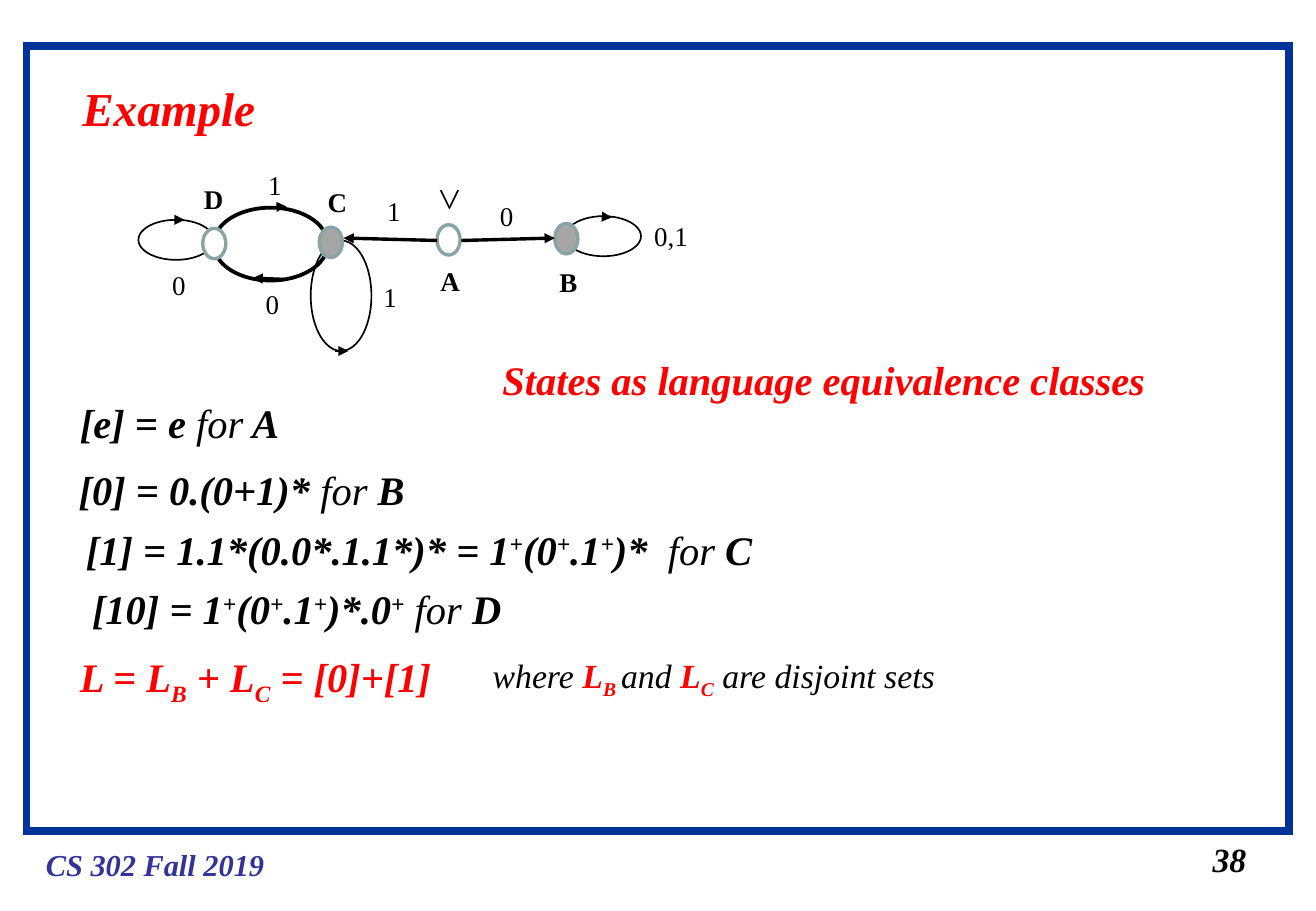
"""Build the slide on the states of an automaton as language equivalence classes."""
from lxml import etree
from pptx import Presentation
from pptx.dml.color import RGBColor
from pptx.enum.shapes import MSO_CONNECTOR, MSO_SHAPE
from pptx.enum.text import MSO_AUTO_SIZE
from pptx.oxml.ns import qn
from pptx.util import Pt

RECTANGLE, ELLIPSE = MSO_SHAPE.RECTANGLE, MSO_SHAPE.OVAL
STRAIGHT = MSO_CONNECTOR.STRAIGHT
GROW = MSO_AUTO_SIZE.SHAPE_TO_FIT_TEXT
PX = 9144

THEME = {
    "font": "Times New Roman",
    "ink": "000000", "accent": "FF0000", "frame": "003399", "footer": "333399",
    "open": "FFFFFF", "accepting": "A6A6A6", "state line": "89A4A7",
    "title": 28, "body": 24, "note": 20, "course": 18, "label": 16,
}
BOLD = {"bold": True, "italic": True}
ITALIC = {"bold": False, "italic": True}
LABEL_BOLD = {"bold": True, "italic": False}
LABEL = {"bold": False, "italic": False}
SUPER, SUB = 30000, -25000


def add_outline(shapes, kind, box, fill, line, width):
    shape = shapes.add_shape(kind, *[value * PX for value in box])
    shape.shadow.inherit = False
    if fill:
        shape.fill.solid()
        shape.fill.fore_color.rgb = RGBColor.from_string(THEME[fill])
    else:
        shape.fill.background()
    shape.line.color.rgb = RGBColor.from_string(THEME[line])
    shape.line.width = Pt(width)
    etree.SubElement(shape.line._get_or_add_ln(), qn("a:miter"), lim="800000")


def add_text(shapes, box, size, color, runs, wrap=False, rotation=0):
    shape = shapes.add_textbox(*[value * PX for value in box])
    shape.rotation = rotation
    frame = shape.text_frame
    frame.word_wrap = wrap
    frame.auto_size = GROW
    paragraph = frame.paragraphs[0]
    for text, style, *extra in runs:
        run = paragraph.add_run()
        run.text = text
        formats = {"name": THEME["font"], "size": Pt(THEME[size]), **style}
        for name, value in formats.items():
            setattr(run.font, name, value)
        run_color = next((item for item in extra if item in THEME), color)
        run.font.color.rgb = RGBColor.from_string(THEME[run_color])
        for baseline in (SUPER, SUB):
            if baseline in extra:
                run._r.get_or_add_rPr().set("baseline", str(baseline))


presentation = Presentation()
presentation.slide_width = 1084 * PX
presentation.slide_height = 750 * PX
slide = presentation.slides.add_slide(presentation.slide_layouts[6])
shapes = slide.shapes

add_outline(shapes, RECTANGLE, (22, 38, 1040, 646), None, "frame", 4.5)

for box, size, color, text in [
    ((28, 692, 200, 40), "course", "footer", "CS 302 Fall 2019"),
    ((58, 60, 240, 57), "title", "accent", "Example"),
    ((989, 686, 48, 44), "note", "ink", "38"),
    ((404, 287, 558, 50), "body", "accent", "States as language equivalence classes"),
]:
    add_text(shapes, box, size, color, [(text, BOLD)], wrap=True)

automaton = shapes.add_group_shape().shapes

for box, width in [
    ((466, 178, 62, 33), 1),
    ((256, 198, 50, 91), 1),
    ((114, 181, 62, 33), 1),
    ((176, 171, 94, 60), 2.25),
]:
    add_outline(automaton, ELLIPSE, box, None, "ink", width)

for left, top, fill in [
    (167, 188, "open"),
    (263, 187, "accepting"),
    (360, 185, "open"),
    (457, 184, "accepting"),
]:
    add_outline(automaton, ELLIPSE, (left, top, 19, 25), fill, "state line", 2)

for ends, width in [
    ((491, 178, 504, 179), 0.25),
    ((276, 289, 287, 289), 0.25),
    ((139, 181, 152, 181), 0.25),
    ((210, 171, 236, 170), 0.25),
    ((234, 230, 208, 229), 2),
    ((380, 198, 457, 196), 2),
    ((360, 198, 283, 196), 2),
]:
    arrow = automaton.add_connector(STRAIGHT, *[value * PX for value in ends])
    arrow.line.color.rgb = RGBColor.from_string(THEME["ink"])
    arrow.line.width = Pt(width)
    etree.SubElement(arrow.line._get_or_add_ln(), qn("a:tailEnd"), type="triangle")
    etree.SubElement(arrow._element.spPr, qn("a:effectLst"))

for left, top, width, text, style in [
    (353, 213, 33, "A", LABEL_BOLD),
    (451, 214, 47, "B", LABEL_BOLD),
    (260, 148, 46, "C", LABEL_BOLD),
    (158, 145, 45, "D", LABEL_BOLD),
    (402, 159, 31, "0", LABEL),
    (529, 176, 48, "0,1", LABEL),
    (309, 155, 31, "1", LABEL),
    (306, 226, 31, "1", LABEL),
    (209, 232, 31, "0", LABEL),
    (211, 134, 31, "1", LABEL),
    (132, 216, 31, "0", LABEL),
]:
    wrap = width > 31
    add_text(automaton, (left, top, width, 37), "label", "ink", [(text, style)], wrap)

add_text(automaton, (353, 140, 39, 50), "body", "ink", [(">", LABEL)], rotation=90)

plus = ("+", BOLD, SUPER)
repeated = [plus, ("(0", BOLD), plus, (".1", BOLD), plus]
for box, size, color, runs in [
    ((56, 323, 185, 50), "body", "ink",
     [("[e] = e ", BOLD), ("for", ITALIC), (" A", BOLD)]),
    ((55, 378, 304, 50), "body", "ink",
     [("[0] = 0.(0+1)* ", BOLD), ("for ", ITALIC), ("B", BOLD)]),
    ((61, 427, 569, 50), "body", "ink",
     [("[1] = 1.1*(0.0*.1.1*)* = 1", BOLD), *repeated,
      (")* ", BOLD), (" for ", ITALIC), ("C", BOLD)]),
    ((66, 476, 357, 50), "body", "ink",
     [("[10] = 1", BOLD), *repeated, (")*.0", BOLD), plus,
      (" for ", ITALIC), ("D", BOLD)]),
    ((56, 532, 327, 56), "body", "accent",
     [("L = L", BOLD), ("B", BOLD, SUB), (" + L", BOLD), ("C", BOLD, SUB),
      (" = [0]+[1]", BOLD)]),
    ((396, 534, 386, 48), "note", "ink",
     [("where ", ITALIC), ("L", BOLD, "accent"), ("B ", BOLD, "accent", SUB),
      ("and ", ITALIC), ("L", BOLD, "accent"), ("C", BOLD, "accent", SUB),
      (" are disjoint sets", ITALIC)]),
]:
    add_text(shapes, box, size, color, runs)

presentation.save("out.pptx")
